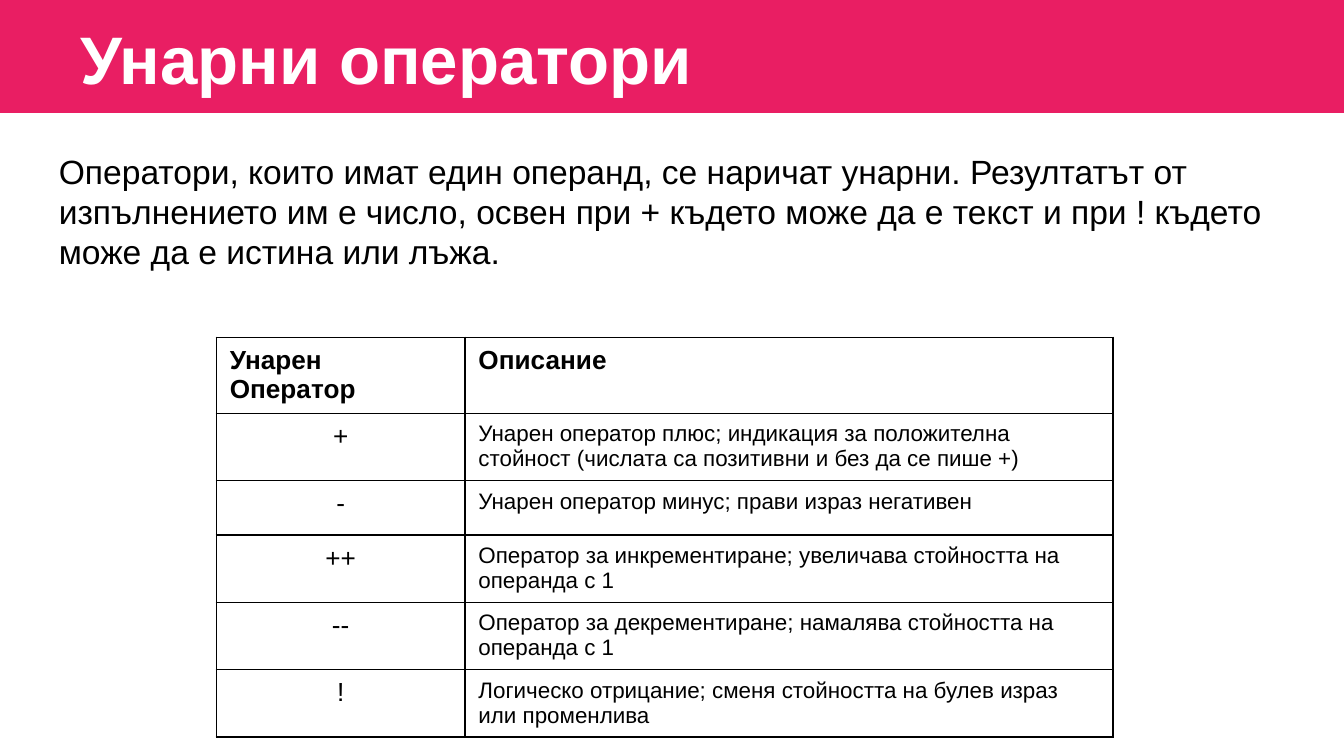
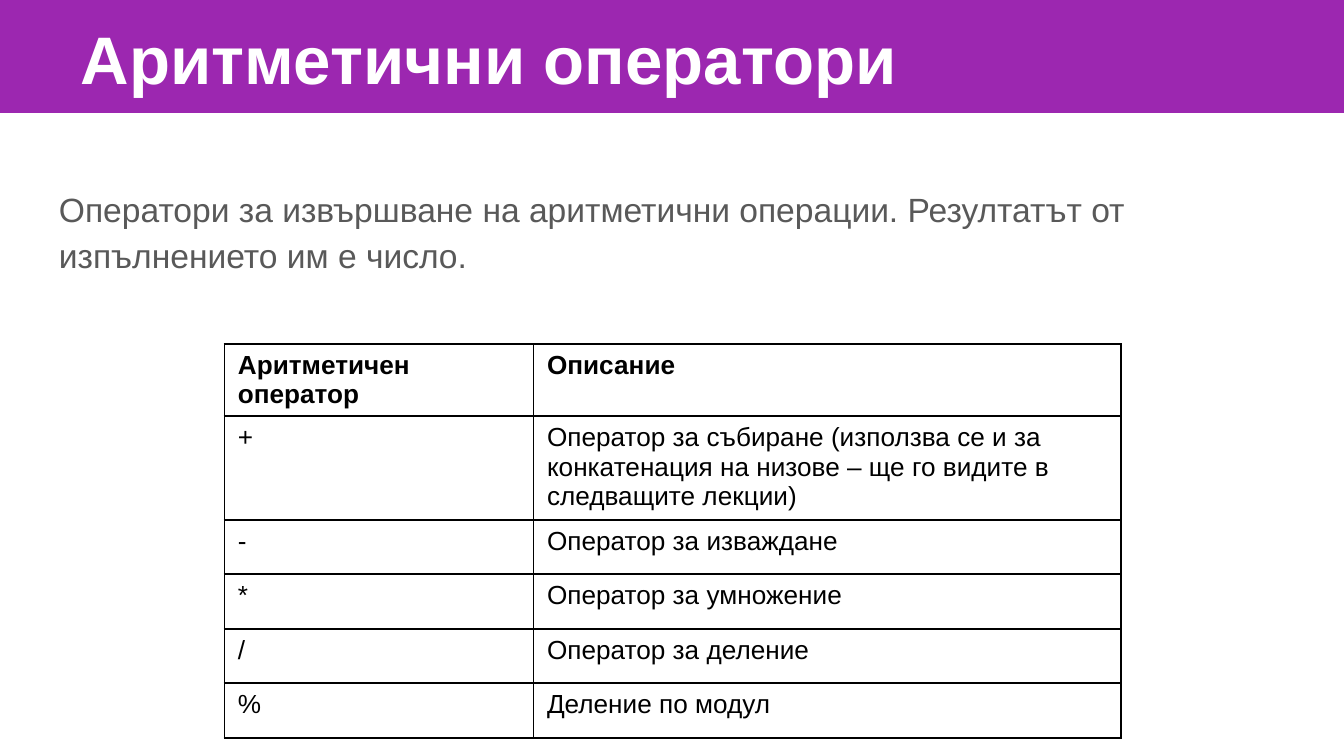
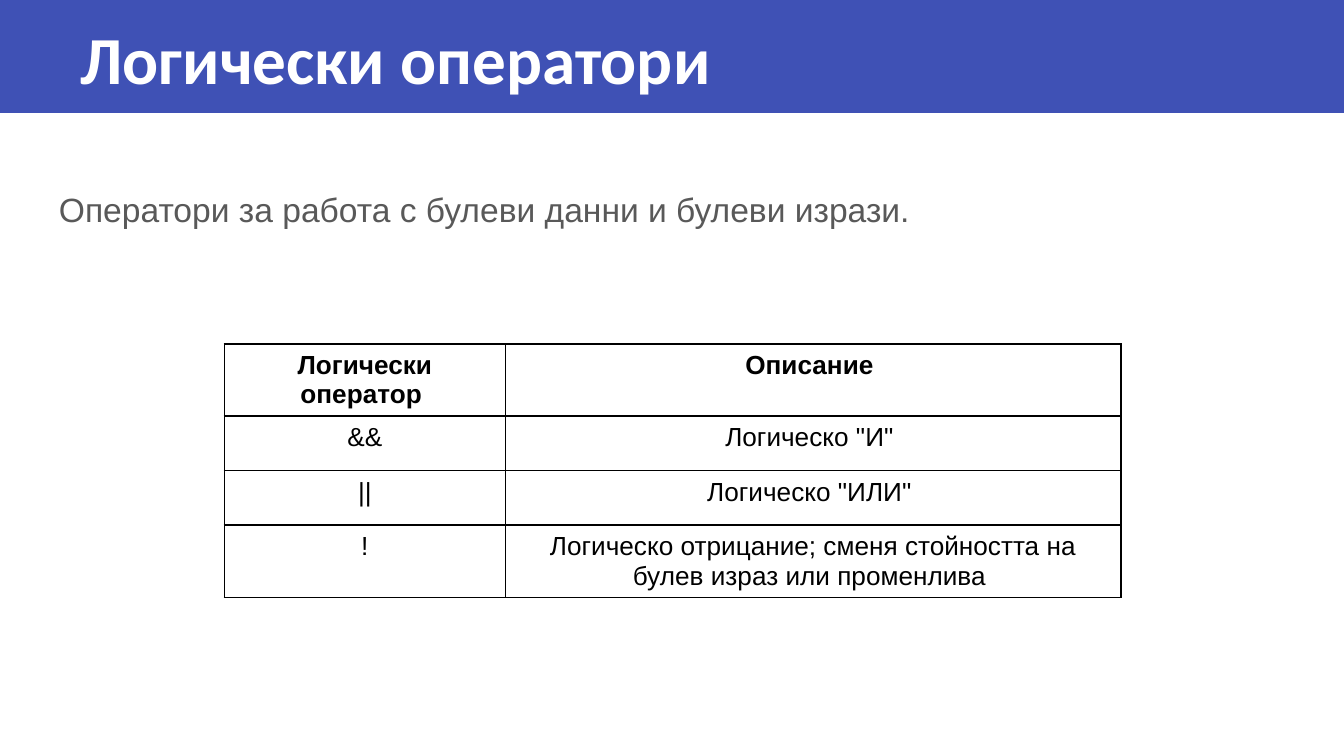
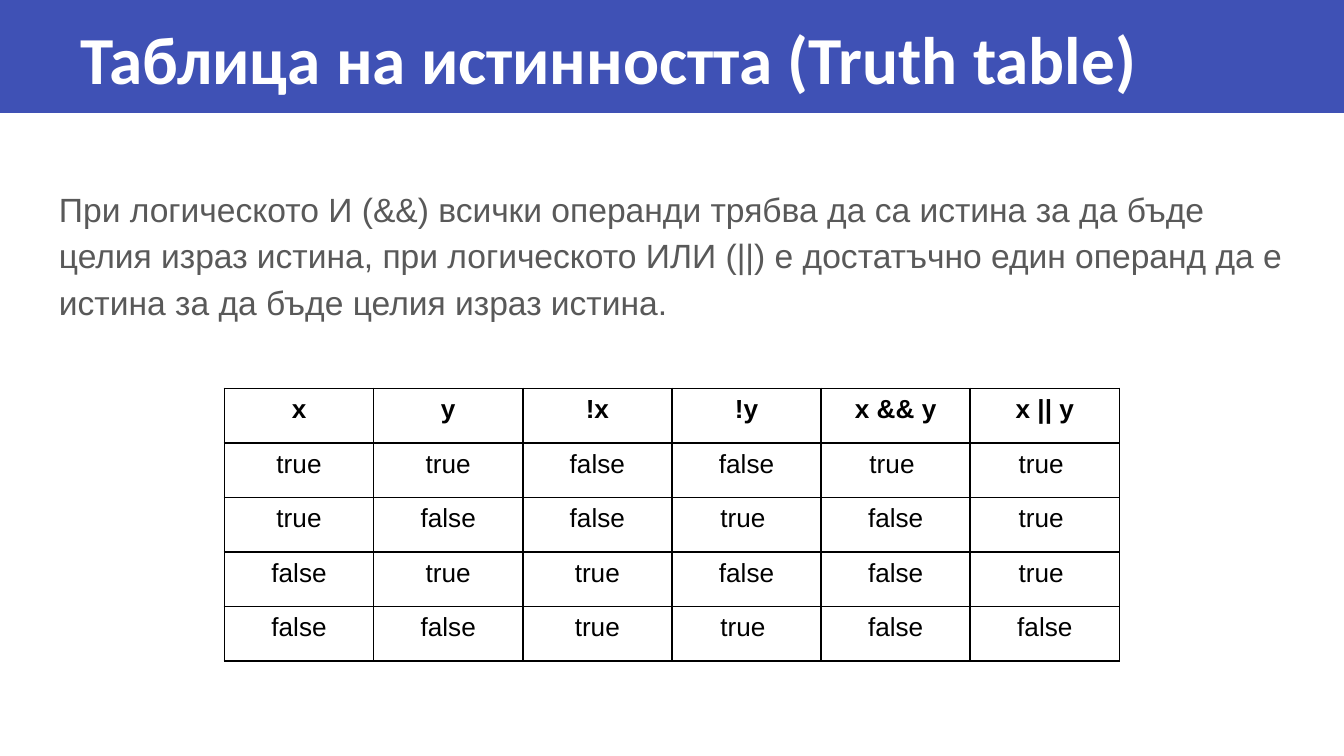
from dataclasses import dataclass

from lxml import etree
from pptx import Presentation
from pptx.dml.color import RGBColor
from pptx.enum.shapes import MSO_SHAPE
from pptx.enum.text import MSO_ANCHOR, MSO_AUTO_SIZE, PP_ALIGN
from pptx.oxml.ns import qn
from pptx.util import Inches, Pt

RECT = MSO_SHAPE.RECTANGLE
TOP = MSO_ANCHOR.TOP
NO_AUTOSIZE = MSO_AUTO_SIZE.NONE
LEFT, CENTER = PP_ALIGN.LEFT, PP_ALIGN.CENTER

PINK = RGBColor(0xE9, 0x1E, 0x63)
PURPLE = RGBColor(0x9C, 0x27, 0xB0)
INDIGO = RGBColor(0x3F, 0x51, 0xB5)
WHITE = RGBColor(0xFF, 0xFF, 0xFF)
BLACK = RGBColor(0, 0, 0)
GRAY = RGBColor(0x59, 0x59, 0x59)

SLIDE_W = Inches(10)
SLIDE_H = SLIDE_W * 9 // 16
BAND_H = Inches(0.84)
ROW_H = Pt(29.2)
BORDER_W = Pt(1)
BORDER_SIDES = ("a:lnL", "a:lnR", "a:lnT", "a:lnB")


@dataclass(frozen=True)
class Intro:
    text: str
    top: float = 1.26
    width: float = 9.32
    height: float = 4.22
    color: RGBColor = GRAY
    inset: float = 0.1
    line_spacing: float = 1.15
    space_after: int = 16


@dataclass(frozen=True)
class Grid:
    rows: tuple[tuple[str, ...], ...]
    widths: tuple[float, ...]
    left: float = 1.67
    top: float = 2.56
    header_align: PP_ALIGN = CENTER
    aligns: tuple[PP_ALIGN, ...] = (CENTER, CENTER)
    sizes: tuple[int, ...] = (14, 14)
    margin_top: float = 0.05
    margin_bottom: float = 0.02


@dataclass(frozen=True)
class Topic:
    title: str
    color: RGBColor
    intro: Intro
    grid: Grid
    title_font: str = "Calibri"
    title_width: float = 10


TOPICS = (
    Topic(
        "Унарни оператори", PINK,
        Intro("Оператори, които имат един операнд, се наричат унарни. Резултатът от "
              "изпълнението им е число, освен при + където може да е текст и при ! "
              "където може да е истина или лъжа.",
              top=1.07, width=9.26, height=1.01, color=BLACK,
              inset=0.05, line_spacing=1.0, space_after=0),
        Grid((
            ("Унарен Оператор", "Описание"),
            ("+", "Унарен оператор плюс; индикация за положителна стойност "
                  "(числата са позитивни и без да се пише +)"),
            ("-", "Унарен оператор минус; прави израз негативен"),
            ("++", "Оператор за инкрементиране; увеличава стойността на операнда с 1"),
            ("--", "Оператор за декрементиране; намалява стойността на операнда с 1"),
            ("!", "Логическо отрицание; сменя стойността на булев израз или променлива"),
        ), (1.85, 4.82), left=1.61, top=2.51, header_align=LEFT,
            aligns=(CENTER, LEFT), sizes=(14, 12),
            margin_top=0.06, margin_bottom=0.04),
        title_font="Arial", title_width=9.89,
    ),
    Topic(
        "Аритметични оператори", PURPLE,
        Intro("Оператори за извършване на аритметични операции. Резултатът от "
              "изпълнението им е число.", height=3.74),
        Grid((
            ("Аритметичен оператор", "Описание"),
            ("+", "Оператор за събиране (използва се и за конкатенация на низове – "
                  "ще го видите в следващите лекции)"),
            ("-", "Оператор за изваждане"),
            ("*", "Оператор за умножение"),
            ("/", "Оператор за деление"),
            ("%", "Деление по модул"),
        ), (2.3, 4.37), header_align=LEFT, aligns=(LEFT, LEFT)),
        title_font="Arial", title_width=7.44,
    ),
    Topic(
        "Логически оператори", INDIGO,
        Intro("Оператори за работа с булеви данни и булеви изрази."),
        Grid((
            ("Логически оператор ", "Описание "),
            ("&&", 'Логическо "И" '),
            ("||", 'Логическо "ИЛИ" '),
            ("!", "Логическо отрицание; сменя стойността на булев израз или променлива "),
        ), (2.09, 4.58)),
    ),
    Topic(
        "Таблица на истинността (Truth table)", INDIGO,
        Intro("При логическото И (&&) всички операнди трябва да са истина за да бъде "
              "целия израз истина, при логическото ИЛИ (||) е достатъчно един операнд "
              "да е истина за да бъде целия израз истина."),
        Grid((
            ("x", "y", "!x", "!y", "x && y", "x || y"),
            ("true", "true", "false", "false", "true ", "true "),
            ("true", "false", "false", "true ", "false", "true "),
            ("false", "true", "true", "false", "false", "true "),
            ("false", "false", "true", "true ", "false", "false"),
        ), (1.11,) * 6, top=2.89, aligns=(CENTER,) * 6, sizes=(14,) * 6),
    ),
)


def set_attrs(target, values: dict) -> None:
    for name, value in values.items():
        setattr(target, name, value)


def write(tf, text: str, size: int, color: RGBColor, font: str = "Arial",
          bold: bool = False, **paragraph) -> None:
    p = tf.paragraphs[0]
    set_attrs(p, {"alignment": LEFT, **paragraph})
    r = p.add_run()
    r.text = text
    set_attrs(r.font, {"size": Pt(size), "name": font, "bold": bold})
    r.font.color.rgb = color


def place(sp, left: float, top: float, width: float, height: float) -> None:
    set_attrs(sp, {"left": Inches(left), "top": Inches(top),
                   "width": Inches(width), "height": Inches(height)})


def add_heading(s, topic: Topic) -> None:
    title = s.shapes.title
    place(title, 0, 0.03, topic.title_width, 0.77)
    set_attrs(title.text_frame, {
        "word_wrap": True, "auto_size": NO_AUTOSIZE, "vertical_anchor": TOP,
        "margin_left": Inches(0.6), "margin_right": Inches(0.1),
        "margin_top": Inches(0.1), "margin_bottom": Inches(0.1),
    })
    write(title.text_frame, topic.title, 36, WHITE, topic.title_font, True)

    band = s.shapes.add_shape(RECT, 0, 0, SLIDE_W, BAND_H)
    band.shadow.inherit = False
    band.fill.solid()
    band.fill.fore_color.rgb = topic.color
    band.line.fill.background()
    title.element.addprevious(band.element)


def add_intro(s, intro: Intro) -> None:
    sp = s.shapes.add_textbox(Inches(0.34), Inches(intro.top),
                              Inches(intro.width), Inches(intro.height))
    set_attrs(sp.text_frame, {
        "word_wrap": True, "vertical_anchor": TOP,
        "margin_left": Inches(0.1), "margin_right": Inches(0.1),
        "margin_top": Inches(intro.inset), "margin_bottom": Inches(intro.inset),
    })
    write(sp.text_frame, intro.text, 18, intro.color,
          line_spacing=intro.line_spacing, space_after=Pt(intro.space_after))


def add_borders(cell) -> None:
    tc_pr = cell._tc.get_or_add_tcPr()
    for side in BORDER_SIDES:
        line = etree.SubElement(tc_pr, qn(side), w=str(BORDER_W))
        fill = etree.SubElement(line, qn("a:solidFill"))
        etree.SubElement(fill, qn("a:srgbClr"), val=str(BLACK))


def add_grid(s, grid: Grid) -> None:
    table = s.shapes.add_table(
        len(grid.rows), len(grid.widths), Inches(grid.left), Inches(grid.top),
        Inches(sum(grid.widths)), ROW_H * len(grid.rows)).table
    set_attrs(table, {"first_row": False, "horz_banding": False})
    for column, width in zip(table.columns, grid.widths):
        column.width = Inches(width)
    for i, texts in enumerate(grid.rows):
        table.rows[i].height = ROW_H
        header = i == 0
        for j, text in enumerate(texts):
            cell = table.cell(i, j)
            set_attrs(cell, {
                "vertical_anchor": TOP,
                "margin_left": Inches(0.1), "margin_right": Inches(0.1),
                "margin_top": Inches(grid.margin_top),
                "margin_bottom": Inches(grid.margin_bottom),
            })
            add_borders(cell)
            cell.fill.background()
            write(cell.text_frame, text, 14 if header else grid.sizes[j], BLACK,
                  bold=header,
                  alignment=grid.header_align if header else grid.aligns[j])


def main() -> None:
    prs = Presentation()
    set_attrs(prs, {"slide_width": SLIDE_W, "slide_height": SLIDE_H})
    title_only = prs.slide_layouts[5]
    for topic in TOPICS:
        s = prs.slides.add_slide(title_only)
        add_heading(s, topic)
        add_intro(s, topic.intro)
        add_grid(s, topic.grid)
    prs.save("out.pptx")


if __name__ == "__main__":
    main()
